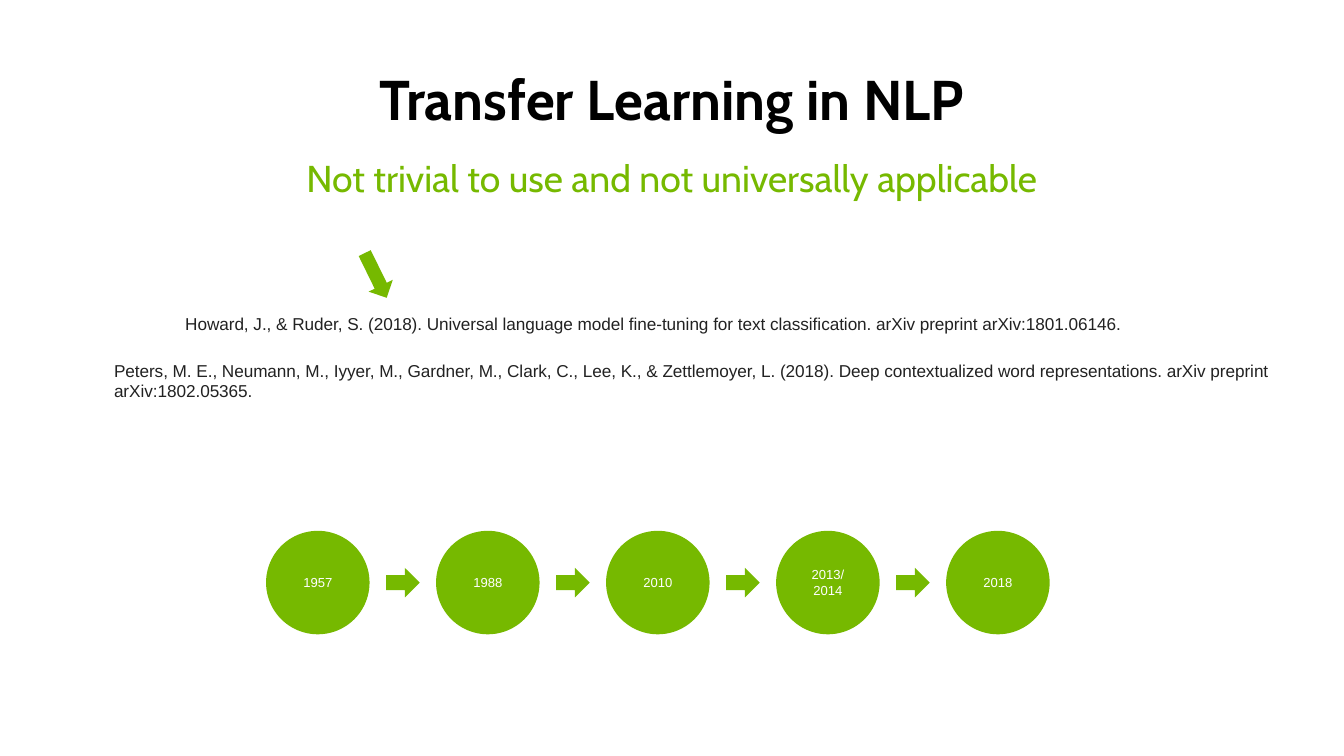
from pptx import Presentation
from pptx.dml.color import RGBColor
from pptx.enum.shapes import MSO_SHAPE as Shape
from pptx.enum.text import MSO_ANCHOR as Anchor, PP_ALIGN as Align
from pptx.util import Inches, Pt

# Content
TITLE = "Transfer Learning in NLP"
SUBTITLE = "Not trivial to use and not universally applicable"
REFERENCES = [  # text, left, top, width, height
    ("Howard, J., & Ruder, S. (2018). Universal language model fine-tuning "
     "for text classification. arXiv preprint arXiv:1801.06146.",
     1.28, 2.28, 8.61, 0.26),
    ("Peters, M. E., Neumann, M., Iyyer, M., Gardner, M., Clark, C., Lee, K., "
     "& Zettlemoyer, L. (2018). Deep contextualized word representations. "
     "arXiv preprint arXiv:1802.05365.",
     0.75, 2.63, 9.78, 0.41),
]
MILESTONES = ["1957", "1988", "2010", "2013/\n2014", "2018"]

# Colours and layout, in inches
GREEN = RGBColor(0x76, 0xB9, 0x00)
BLACK = RGBColor(0x00, 0x00, 0x00)
GREY = RGBColor(0x22, 0x22, 0x22)
WHITE = RGBColor(0xFF, 0xFF, 0xFF)
WIDTH = 10
HEIGHT = WIDTH * 9 / 16
FIRST_LEFT, LAST_LEFT, CIRCLE_TOP, CIRCLE = 1.98, 7.04, 3.95, 0.77
PITCH = (LAST_LEFT - FIRST_LEFT) / (len(MILESTONES) - 1)
ARROW_WIDTH, ARROW_HEIGHT = 0.25, 0.22

deck = Presentation()
deck.slide_width, deck.slide_height = Inches(WIDTH), Inches(HEIGHT)
page = deck.slides.add_slide(deck.slide_layouts[6])


def write(shape, text, *, size, color, font="Arial", bold=False,
          align=Align.LEFT, anchor=Anchor.TOP, spacing=1.0, inset=(0.1, 0.05)):
    frame = shape.text_frame
    frame.word_wrap = True
    frame.vertical_anchor = anchor
    frame.margin_left = frame.margin_right = Inches(inset[0])
    frame.margin_top = frame.margin_bottom = Inches(inset[1])
    frame.text = text
    for para in frame.paragraphs:
        para.alignment = align
        para.line_spacing = spacing
        para.font.name = font
        para.font.size = Pt(size)
        para.font.bold = bold
        para.font.color.rgb = color


def add_box(*area):
    return page.shapes.add_textbox(*map(Inches, area))


def add_green(kind, *area):
    shape = page.shapes.add_shape(kind, *map(Inches, area))
    shape.shadow.inherit = False
    shape.fill.solid()
    shape.fill.fore_color.rgb = GREEN
    shape.line.fill.background()
    return shape


# Headings, centred on the slide
write(add_box(0.69, 0, WIDTH - 2 * 0.69, 1.09), TITLE, size=30, color=BLACK,
      font="Cabin", bold=True, align=Align.CENTER, anchor=Anchor.BOTTOM,
      spacing=0.9, inset=(0.1, 0.1))
write(add_box(0.45, 1.15, WIDTH - 2 * 0.45, 0.48), SUBTITLE, size=20,
      color=GREEN, font="Cabin", align=Align.CENTER, spacing=0.9,
      inset=(0.08, 0.04))

# References
for text, *area in REFERENCES:
    write(add_box(*area), text, size=9.15, color=GREY)

# Timeline: circles at an equal pitch, an arrow centred in each gap
for index, year in enumerate(MILESTONES):
    left = FIRST_LEFT + index * PITCH
    circle = add_green(Shape.OVAL, left, CIRCLE_TOP, CIRCLE, CIRCLE)
    write(circle, year, size=7, color=WHITE, align=Align.CENTER,
          anchor=Anchor.MIDDLE)
    if index < len(MILESTONES) - 1:
        add_green(Shape.RIGHT_ARROW,
                  left + (CIRCLE + PITCH - ARROW_WIDTH) / 2,
                  CIRCLE_TOP + (CIRCLE - ARROW_HEIGHT) / 2,
                  ARROW_WIDTH, ARROW_HEIGHT)

# Arrow pointing at the first reference
pointer = add_green(Shape.RIGHT_ARROW, 2.61, 1.95, 0.37, 0.2)
pointer.rotation = 63.8

deck.save("out.pptx")
